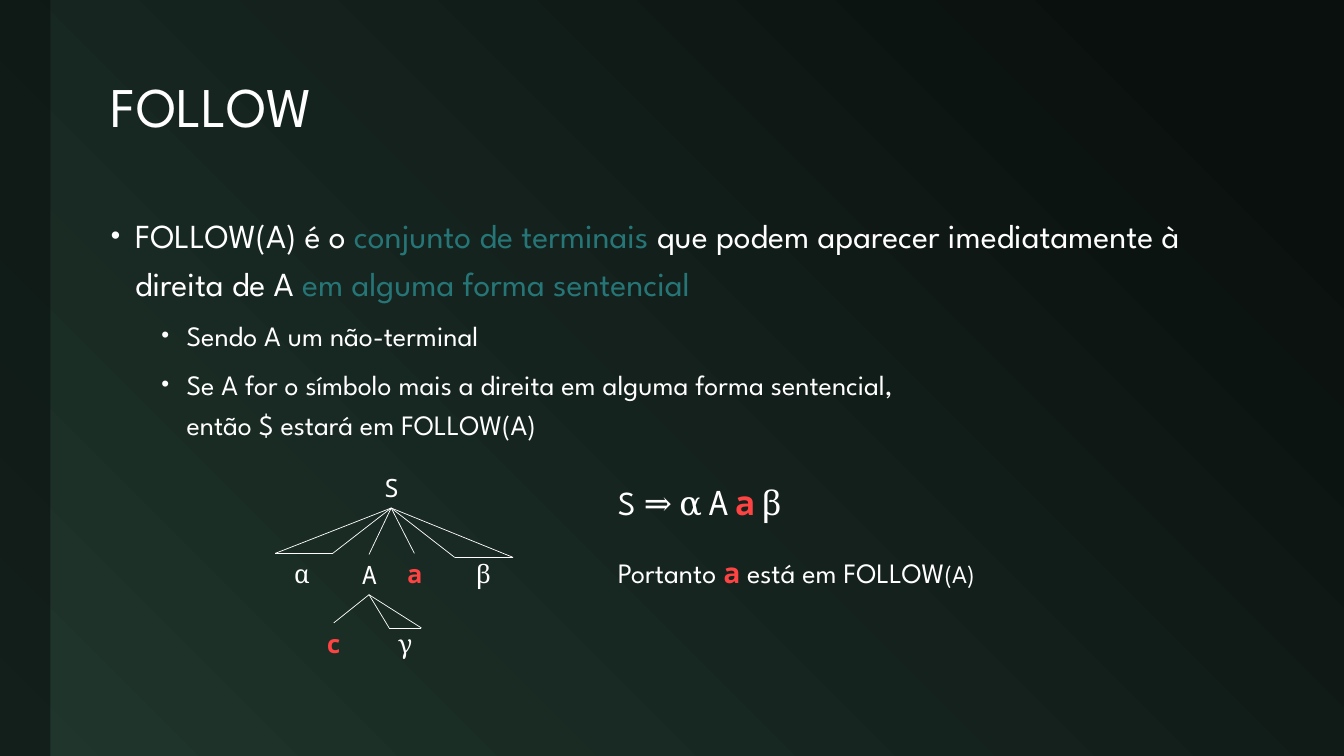
from lxml import etree
from pptx import Presentation
from pptx.dml.color import RGBColor
from pptx.enum.shapes import MSO_CONNECTOR as Connector, MSO_SHAPE as Shape
from pptx.enum.text import MSO_ANCHOR as Anchor, MSO_AUTO_SIZE as AutoSize, PP_ALIGN as Align
from pptx.oxml.ns import qn
from pptx.util import Inches, Pt

DARK = RGBColor(0x0A, 0x10, 0x0E)
GREEN = RGBColor(0x20, 0x36, 0x2D)
WHITE = RGBColor(0xFF, 0xFF, 0xFF)
TEAL = RGBColor(0x26, 0x75, 0x77)
RED = RGBColor(0xFF, 0x43, 0x43)
SANS, MONO, GREEK = "League Spartan", "Noto Sans Mono", "Cambria"
BREAK = "\n"


class Deck:
    def __init__(self):
        self.prs = Presentation()
        self.prs.slide_width, self.prs.slide_height = Inches(13.33), Inches(7.5)
        self.slide = self.prs.slides.add_slide(self.prs.slide_layouts[1])
        self.tree = self.slide.shapes.add_group_shape().shapes

    def background(self):
        fill = self.slide.background.fill
        fill.gradient()
        fill.gradient_angle = 225
        for stop, color, position in zip(fill.gradient_stops, (DARK, GREEN), (0.1, 1)):
            stop.color.rgb, stop.position = color, position

    def band(self, width, alpha):
        band = self.slide.shapes.add_shape(
            Shape.RECTANGLE, 0, 0, Inches(width), self.prs.slide_height)
        band.shadow.inherit = False
        band.fill.solid()
        band.fill.fore_color.rgb = DARK
        band.line.fill.background()
        color = band._element.spPr.find(".//" + qn("a:srgbClr"))
        etree.SubElement(color, qn("a:alpha"), val=str(alpha * 1000))

    def add_runs(self, paragraph, pieces):
        """Each piece is (text, size, font, color); red marks bold terminals."""
        for text, size, font, color in pieces:
            if text == BREAK:
                paragraph.add_line_break()
                continue
            run = paragraph.add_run()
            run.text = text
            run.font.size, run.font.name = Pt(size), font
            run.font.color.rgb, run.font.bold = color, color == RED

    def placeholder(self, index, top, height, anchor):
        holder = self.slide.placeholders[index]
        holder.left, holder.top = Inches(1), Inches(top)
        holder.width, holder.height = Inches(11.65), Inches(height)
        frame = holder.text_frame
        frame.auto_size, frame.vertical_anchor = AutoSize.NONE, anchor
        return frame

    def title(self, text):
        paragraph = self.placeholder(0, 0.42, 1.33, Anchor.MIDDLE).paragraphs[0]
        paragraph.alignment, paragraph.line_spacing = Align.LEFT, 0.9
        self.add_runs(paragraph, [(text, 40, SANS, WHITE)])

    def bullets(self, items):
        frame = self.placeholder(1, 2, 4.83, Anchor.TOP)
        for number, (level, pieces) in enumerate(items):
            paragraph = frame.add_paragraph() if number else frame.paragraphs[0]
            margin, hang, before, size = ((0.24, 0.24, 18, 24), (0.75, 0.25, 6, 20))[level]
            paragraph.level, paragraph.line_spacing = level, 1.2
            paragraph.space_before = Pt(before)
            props = paragraph._p.get_or_add_pPr()
            props.set("marL", str(Inches(margin)))
            props.set("indent", str(-Inches(hang)))
            etree.SubElement(props, qn("a:buSzPct"), val="80000")
            etree.SubElement(props, qn("a:buFont"), typeface="Arial")
            etree.SubElement(props, qn("a:buChar"), char="•")
            self.add_runs(paragraph, [(text, size, SANS, color) for text, color in pieces])

    def node(self, text, left, top, font=MONO, color=WHITE):
        frame = self.tree.add_textbox(
            Inches(left), Inches(top), Inches(0.34), Inches(0.4)).text_frame
        frame.word_wrap, frame.auto_size = False, AutoSize.SHAPE_TO_FIT_TEXT
        self.add_runs(frame.paragraphs[0], [(text, 18, font, color)])

    def edge(self, start, end):
        line = self.tree.add_connector(
            Connector.STRAIGHT, *(Inches(value) for value in start + end))
        line.line.color.rgb, line.line.width = WHITE, Pt(0.5)
        etree.SubElement(line._element.spPr, qn("a:effectLst"))

    def text(self, left, top, width, height, paragraphs, gap):
        frame = self.slide.shapes.add_textbox(
            Inches(left), Inches(top), Inches(width), Inches(height)).text_frame
        frame.word_wrap, frame.auto_size = True, AutoSize.SHAPE_TO_FIT_TEXT
        for number, pieces in enumerate(paragraphs):
            paragraph = frame.add_paragraph() if number else frame.paragraphs[0]
            paragraph.space_before = Pt(gap if number else 0)
            self.add_runs(paragraph, pieces)


deck = Deck()
deck.background()
deck.band(0.5, alpha=60)

# Definition
deck.title("FOLLOW")
deck.bullets([
    (0, [("FOLLOW(A) é o ", WHITE), ("conjunto de terminais", TEAL),
         (" que podem aparecer imediatamente à direita de A ", WHITE),
         ("em alguma forma sentencial", TEAL)]),
    (1, [("Sendo A um não-terminal", WHITE)]),
    (1, [("Se A for o símbolo mais a direita em alguma forma sentencial, ", WHITE),
         (BREAK, WHITE), ("então $ estará em FOLLOW(A)", WHITE)]),
])

# Derivation tree: symbols
deck.node("S", 3.71, 4.64)
deck.node("α", 2.82, 5.49, GREEK)
deck.node("A", 3.49, 5.5)
deck.node("a", 3.94, 5.49, color=RED)
deck.node("β", 4.62, 5.49, GREEK)
deck.node("c", 3.14, 6.18, color=RED)
deck.node("γ", 3.85, 6.18, GREEK)

# Derivation tree: single branches, then triangles for whole subtrees
root, inner = (3.88, 5.04), (3.66, 5.9)
for parent, child in ((root, (3.66, 5.5)), (root, (4.11, 5.49)), (inner, (3.31, 6.18))):
    deck.edge(parent, child)
for apex, left, right, base in (
        (root, 2.73, 3.3, 5.49), (root, 4.51, 5.09, 5.53), (inner, 3.86, 4.18, 6.23)):
    corners = (apex, (left, base), (right, base))
    for number, corner in enumerate(corners):
        deck.edge(corners[number - 1], corner)

# Conclusion
space = (" ", 18, SANS, WHITE)
deck.text(6.03, 4.73, 4.73, 1.25, [
    [("S ", 24, SANS, WHITE), ("⇒ α", 24, GREEK, WHITE), space,
     ("A", 24, MONO, WHITE), space, ("a", 24, MONO, RED), space,
     ("β", 24, GREEK, WHITE)],
    [("Portanto ", 20, SANS, WHITE), ("a", 20, MONO, RED),
     (" está em FOLLOW", 20, SANS, WHITE), ("(A)", 18, SANS, WHITE)],
], gap=24)

deck.prs.save("out.pptx")
